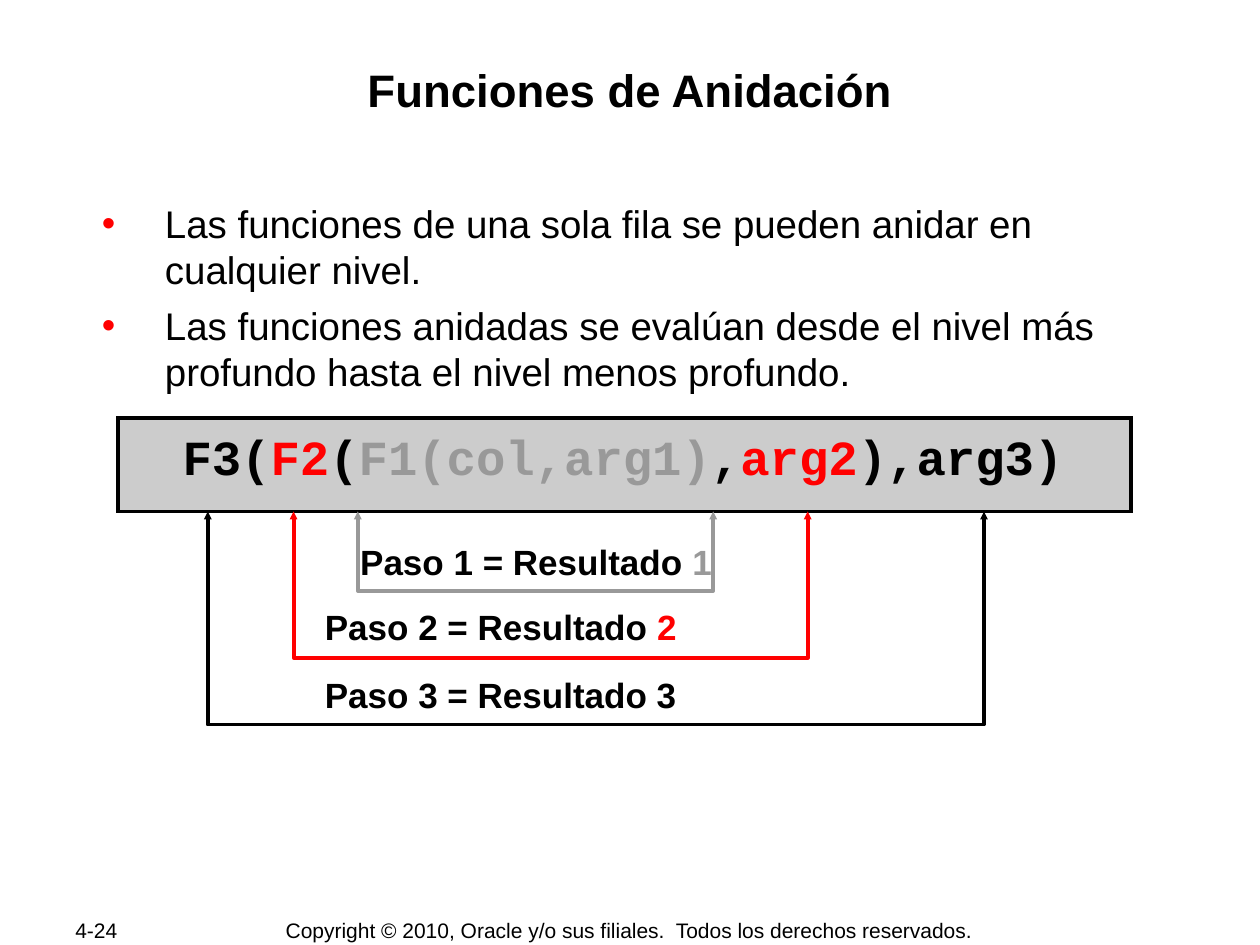
from dataclasses import dataclass

from lxml import etree
from pptx import Presentation
from pptx.dml.color import RGBColor
from pptx.enum.shapes import MSO_SHAPE
from pptx.enum.text import MSO_ANCHOR, PP_ALIGN
from pptx.oxml.ns import qn
from pptx.util import Inches, Pt

LEFT, CENTER = PP_ALIGN.LEFT, PP_ALIGN.CENTER
TOP, MIDDLE = MSO_ANCHOR.TOP, MSO_ANCHOR.MIDDLE
RECTANGLE = MSO_SHAPE.RECTANGLE

COLORS = {"black": "000000", "red": "FF0000", "gray": "999999", "bar": "CCCCCC"}

# Slide grid: 100 columns by 75 rows of square cells
COLUMNS, ROWS = 100, 75
CELL = Inches(0.1)
LINE_WIDTH = Pt(2.25)
BAR_BOTTOM = 40.6


@dataclass
class Area:
    column: float
    row: float
    columns: float
    rows: float


@dataclass
class Run:
    text: str
    color: str = "black"


@dataclass
class Style:
    size: float
    font: str = "Arial"
    bold: bool = False
    align: PP_ALIGN = LEFT
    anchor: MSO_ANCHOR = TOP
    wrap: bool = False
    inset: tuple[float, float] = (1, 0.5)
    line_points: float | None = None
    gap_points: float = 0
    bullet: bool = False


@dataclass
class Step:
    label_area: Area
    runs: list[Run]
    color: str
    left: float
    right: float
    bottom: float


def cells(count: float) -> int:
    return round(count * CELL)


def rgb(name: str) -> RGBColor:
    return RGBColor.from_string(COLORS[name])


def box(area: Area) -> tuple[int, ...]:
    return tuple(cells(n) for n in (area.column, area.row, area.columns, area.rows))


def add_bullet(paragraph) -> None:
    properties = paragraph._p.get_or_add_pPr()
    properties.set("marL", str(cells(6.3)))
    properties.set("indent", str(cells(-5)))
    bullet_color = etree.SubElement(properties, qn("a:buClr"))
    etree.SubElement(bullet_color, qn("a:srgbClr"), val=COLORS["red"])
    etree.SubElement(properties, qn("a:buFont"), typeface="Arial")
    etree.SubElement(properties, qn("a:buChar"), char="•")


def add_text(slide, area: Area, paragraphs: list[list[Run]], style: Style) -> None:
    frame = slide.shapes.add_textbox(*box(area)).text_frame
    frame.word_wrap = style.wrap
    frame.vertical_anchor = style.anchor
    frame.margin_left = frame.margin_right = cells(style.inset[0])
    frame.margin_top = frame.margin_bottom = cells(style.inset[1])
    for index, runs in enumerate(paragraphs):
        paragraph = frame.add_paragraph() if index else frame.paragraphs[0]
        if style.bullet:
            add_bullet(paragraph)
        paragraph.alignment = style.align
        if index:
            paragraph.space_before = Pt(style.gap_points)
        if style.line_points:
            paragraph.line_spacing = Pt(style.line_points)
        for part in runs:
            run = paragraph.add_run()
            run.text = part.text
            run.font.name = style.font
            run.font.size = Pt(style.size)
            run.font.bold = style.bold
            run.font.color.rgb = rgb(part.color)


def add_bracket(slide, step: Step) -> None:
    """Draw an open bracket whose two arrows point up at the expression."""
    corners = [(step.left, step.bottom), (step.right, step.bottom), (step.right, BAR_BOTTOM)]
    builder = slide.shapes.build_freeform(cells(step.left), cells(BAR_BOTTOM))
    builder.add_line_segments([(cells(x), cells(y)) for x, y in corners], close=False)
    bracket = builder.convert_to_shape()
    bracket.shadow.inherit = False
    bracket.fill.background()
    bracket.line.color.rgb = rgb(step.color)
    bracket.line.width = LINE_WIDTH
    line = bracket.line._get_or_add_ln()
    etree.SubElement(line, qn("a:round"))
    for end in ("a:headEnd", "a:tailEnd"):
        etree.SubElement(line, qn(end), type="triangle", w="sm", len="sm")


def add_expression_bar(slide, area: Area) -> None:
    bar = slide.shapes.add_shape(RECTANGLE, *box(area))
    bar.shadow.inherit = False
    bar.fill.solid()
    bar.fill.fore_color.rgb = rgb("bar")
    bar.line.color.rgb = rgb("black")
    bar.line.width = LINE_WIDTH
    etree.SubElement(bar.line._get_or_add_ln(), qn("a:miter"), lim="800000")


TITLE = Style(26, bold=True, align=CENTER, wrap=True, inset=(0.1, 0.1))
BODY = Style(22, wrap=True, inset=(0.1, 0.1), gap_points=5.5, bullet=True)
CODE = Style(28, font="Courier New", bold=True, line_points=22)
LABEL = Style(20, bold=True)
COPYRIGHT = Style(12, align=CENTER, anchor=MIDDLE, wrap=True)
PAGE = Style(12, anchor=MIDDLE, wrap=True)

POINTS = [
    "Las funciones de una sola fila se pueden anidar en cualquier nivel.",
    "Las funciones anidadas se evalúan desde el nivel más profundo "
    "hasta el nivel menos profundo.",
]
EXPRESSION = [
    Run("F3("), Run("F2", "red"), Run("("), Run("F1(col,arg1)", "gray"),
    Run(","), Run("arg2", "red"), Run("),arg3)"),
]
# Outermost function first
STEPS = [
    Step(Area(24.8, 53, 29.9, 4.3), [Run("Paso 3 = Resultado 3")],
         "black", 16.5, 78.1, 57.5),
    Step(Area(24.8, 47.6, 29.9, 4.3), [Run("Paso 2 = Resultado "), Run("2", "red")],
         "red", 23.3, 64.1, 52.2),
    Step(Area(27.6, 42.4, 29.9, 4.3), [Run("Paso 1 = Resultado "), Run("1", "gray")],
         "gray", 28.4, 56.6, 46.9),
]


def main() -> None:
    presentation = Presentation()
    presentation.slide_width = cells(COLUMNS)
    presentation.slide_height = cells(ROWS)
    slide = presentation.slides.add_slide(presentation.slide_layouts[6])

    # Footer
    notice = "Copyright © 2010, Oracle y/o sus filiales.  Todos los derechos reservados."
    add_text(slide, Area(20, 72.8, 59.9, 2.1), [[Run(notice)]], COPYRIGHT)
    add_text(slide, Area(5, 72.8, 10.6, 2), [[Run("4-24")]], PAGE)

    # Title and points
    add_text(slide, Area(6.7, 4.8, 86.6, 9.6), [[Run("Funciones de Anidación")]], TITLE)
    add_text(slide, Area(6.7, 15.8, 86.6, 15.7), [[Run(point)] for point in POINTS], BODY)

    # Nested expression
    add_expression_bar(slide, Area(9.4, 33.2, 80.4, BAR_BOTTOM - 33.2))
    add_text(slide, Area(13.5, 35, 71.9, 4.1), [EXPRESSION], CODE)

    # Evaluation steps
    for step in STEPS:
        add_bracket(slide, step)
        add_text(slide, step.label_area, [step.runs], LABEL)

    presentation.save("out.pptx")


if __name__ == "__main__":
    main()
